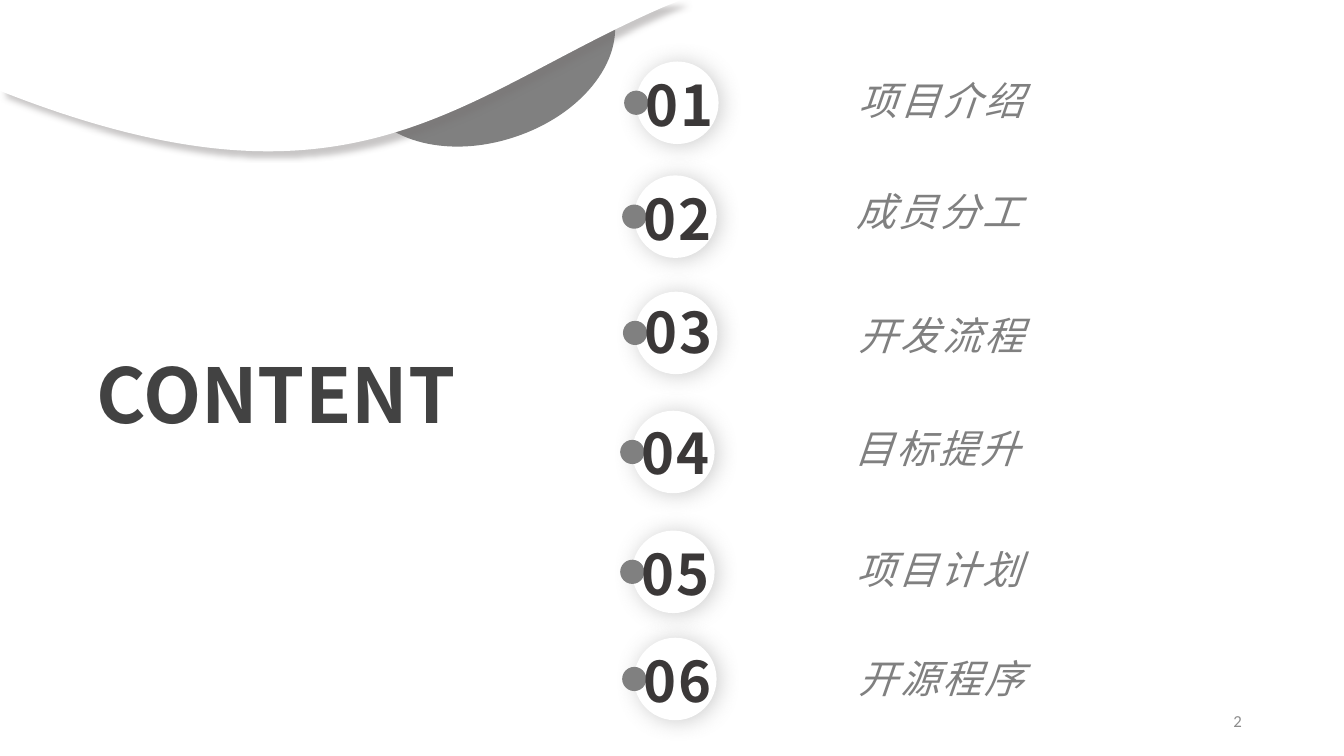
from dataclasses import dataclass
from math import cos, radians, sin

from lxml.etree import SubElement
from pptx import Presentation
from pptx.dml.color import RGBColor
from pptx.enum.shapes import MSO_SHAPE
from pptx.enum.text import MSO_ANCHOR, MSO_AUTO_SIZE, PP_ALIGN
from pptx.oxml.ns import qn
from pptx.util import Cm, Pt

HEADING = "CONTENT"
PAGE_NUMBER = "2"

# number, title, disc (left, top), number top, title (left, top); all in cm
AGENDA = [
    ("01", "项目介绍", (16.03, 1.55), 1.78, (15.72, 1.93)),
    ("02", "成员分工", (15.98, 4.42), 4.64, (15.67, 4.72)),
    ("03", "开发流程", (16.00, 7.35), 7.49, (15.72, 7.85)),
    ("04", "目标提升", (15.93, 10.35), 10.54, (15.62, 10.69)),
    ("05", "项目计划", (15.93, 13.37), 13.59, (15.67, 13.74)),
    ("06", "开源程序", (15.98, 16.07), 16.28, (15.72, 16.48)),
]

# Outlines in cm on the page: a pair is a corner, three pairs are a Bézier curve
LEAF = [
    (9.88, 0), (15.34, 0), (15.42, 0.2),
    ((15.82, 1.42), (14.73, 2.87), (12.98, 3.45)),
    ((11.23, 4.04), (9.47, 3.53), (9.07, 2.31)),
    ((8.81, 1.55), (9.14, 0.69), (9.86, 0.03)),
]
LEAF_FRAME = (8.97, -0.69, 6.71, 4.27)
LEAF_ANGLE = 341.6
WAVE = [
    (0, 0), (17.17, 0), (16.79, 0.15),
    ((11.53, 2.41), (8.94, 5.82), (0, 2.29)),
]
WAVE_FRAME = (0, 0, 17.17, 3.81)
DISC, DOT = 2.08, 0.61
DOT_SHIFT = -0.3
NUMBER_SHIFT = -0.36


@dataclass(frozen=True)
class Theme:
    font: str = "Noto Sans CJK SC"
    page_font: str = "Calibri"
    white: str = "FFFFFF"
    grey: str = "808080"
    heading: str = "424242"
    number: str = "3B3838"
    page: str = "8C8C8C"
    wave_shadow: str = "767171"
    heading_size: int = 54
    number_size: int = 40
    title_size: int = 28
    page_size: int = 12


THEME = Theme()


def paint(shape, color):
    shape.shadow.inherit = False
    shape.fill.solid()
    shape.fill.fore_color.rgb = RGBColor.from_string(color)
    shape.line.fill.background()


def cast_shadow(shape, color, blur, distance, angle):
    """Add an outer shadow at 40 % opacity; blur and distance in points."""
    effects = shape._element.spPr.find(qn("a:effectLst"))
    shadow = SubElement(
        effects, qn("a:outerShdw"), blurRad=str(Pt(blur)), dist=str(Pt(distance)),
        dir=str(angle * 60000), algn="ctr", rotWithShape="0")
    tint = SubElement(shadow, qn("a:srgbClr"), val=color)
    SubElement(tint, qn("a:alpha"), val="40000")


def add_outline(page, outline, frame, color, angle=0):
    """Draw corners and curves inside a frame that is turned by angle degrees."""
    left, top, width, height = frame
    builder = page.shapes.build_freeform(Cm(left), Cm(top))
    builder.add_line_segments([(Cm(left + width), Cm(top + height))], close=True)
    shape = builder.convert_to_shape()
    shape.rotation = angle
    paint(shape, color)

    turn = radians(-angle)
    path = shape._element.spPr.find(".//" + qn("a:path"))
    for child in list(path):
        path.remove(child)
    for index, part in enumerate(outline):
        curve = isinstance(part[0], tuple)
        tag = "a:cubicBezTo" if curve else "a:lnTo" if index else "a:moveTo"
        segment = SubElement(path, qn(tag))
        for x, y in part if curve else [part]:
            dx, dy = x - left - width / 2, y - top - height / 2
            SubElement(
                segment, qn("a:pt"),
                x=str(Cm(width / 2 + dx * cos(turn) - dy * sin(turn))),
                y=str(Cm(height / 2 + dx * sin(turn) + dy * cos(turn))))
    SubElement(path, qn("a:close"))
    return shape


def add_circle(shapes, left, top, size, color):
    circle = shapes.add_shape(MSO_SHAPE.OVAL, Cm(left), Cm(top), Cm(size), Cm(size))
    paint(circle, color)
    return circle


def add_text(shapes, text, place, size, color, font=THEME.font, bold=False,
             italic=False, align=PP_ALIGN.LEFT):
    box = shapes.add_textbox(*(Cm(length) for length in place))
    box.text_frame.word_wrap = True
    para = box.text_frame.paragraphs[0]
    para.alignment = align
    span = para.add_run()
    span.text = text
    para.font.name = font
    para.font.size = Pt(size)
    para.font.bold = bold
    para.font.italic = italic
    para.font.color.rgb = RGBColor.from_string(color)
    SubElement(para.font._element, qn("a:ea"), typeface=font)
    return box


def add_label(shapes, *args, spacing, **style):
    """Add centred text without insets; spacing in hundredths of a point."""
    box = add_text(shapes, *args, align=PP_ALIGN.CENTER, **style)
    frame = box.text_frame
    frame.margin_left = frame.margin_right = frame.margin_top = frame.margin_bottom = 0
    frame.vertical_anchor = MSO_ANCHOR.MIDDLE
    frame.auto_size = MSO_AUTO_SIZE.SHAPE_TO_FIT_TEXT
    frame.paragraphs[0].font._element.set("spc", str(spacing))


def add_agenda_row(page, number, title, disc_place, number_top, title_place):
    left, top = disc_place
    badge = page.shapes.add_group_shape().shapes
    disc = add_circle(badge, left, top, DISC, THEME.white)
    cast_shadow(disc, THEME.grey, 16, 2, 30)
    add_circle(badge, left + DOT_SHIFT, top + (DISC - DOT) / 2, DOT, THEME.grey)
    add_label(badge, number, (left + NUMBER_SHIFT, number_top, 2.92, 1.7),
              THEME.number_size, THEME.number, bold=True, spacing=150)
    add_label(page.shapes, title, (*title_place, 15.98, 1.19),
              THEME.title_size, THEME.grey, italic=True, spacing=200)


def main():
    deck = Presentation()
    deck.slide_width, deck.slide_height = Cm(33.87), Cm(19.05)
    page = deck.slides.add_slide(deck.slide_layouts[6])

    add_outline(page, LEAF, LEAF_FRAME, THEME.grey, LEAF_ANGLE)
    footer = add_text(page.shapes, PAGE_NUMBER, (23.93, 17.65, 7.62, 1.02),
                      THEME.page_size, THEME.page, font=THEME.page_font,
                      align=PP_ALIGN.RIGHT)
    footer.text_frame.vertical_anchor = MSO_ANCHOR.MIDDLE
    heading = add_text(page.shapes, HEADING, (2.18, 8.64, 10.13, 2.57),
                       THEME.heading_size, THEME.heading, bold=True)
    heading.text_frame.word_wrap = False
    heading.text_frame.auto_size = MSO_AUTO_SIZE.SHAPE_TO_FIT_TEXT
    wave = add_outline(page, WAVE, WAVE_FRAME, THEME.white)
    cast_shadow(wave, THEME.wave_shadow, 4, 6, 45)

    for row in AGENDA:
        add_agenda_row(page, *row)
    deck.save("out.pptx")


if __name__ == "__main__":
    main()
